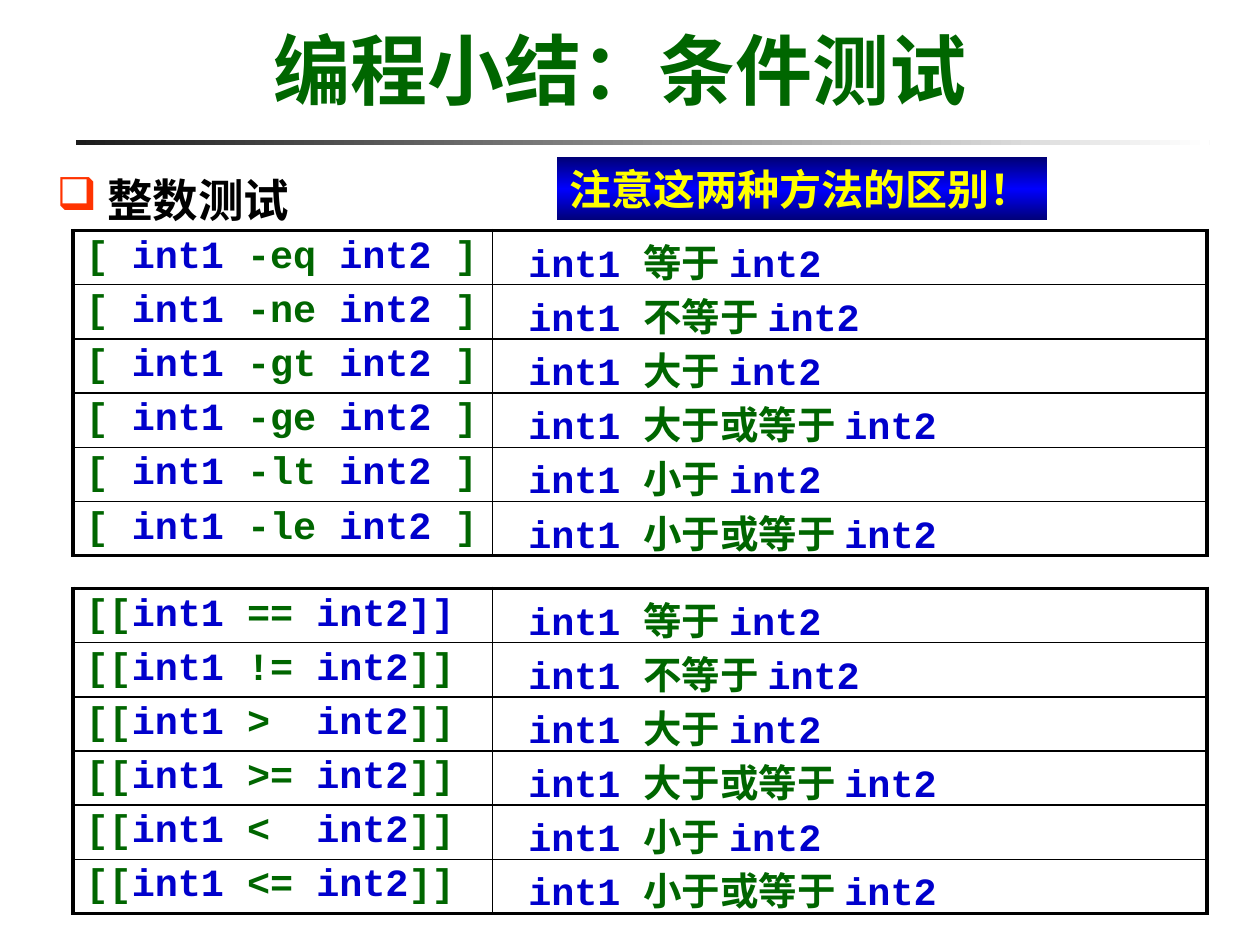
from lxml import etree
from pptx import Presentation
from pptx.dml.color import RGBColor
from pptx.enum.shapes import MSO_SHAPE
from pptx.enum.text import MSO_ANCHOR, MSO_AUTO_SIZE, PP_ALIGN
from pptx.oxml.ns import qn
from pptx.util import Inches, Pt

RECT = MSO_SHAPE.RECTANGLE
MIDDLE, BOTTOM = MSO_ANCHOR.MIDDLE, MSO_ANCHOR.BOTTOM
NO_FIT = MSO_AUTO_SIZE.NONE
LEFT, CENTER = PP_ALIGN.LEFT, PP_ALIGN.CENTER

GREEN = RGBColor(0x00, 0x66, 0x00)
BLUE = RGBColor(0x00, 0x00, 0xCC)
YELLOW = RGBColor(0xFF, 0xFF, 0x00)
ORANGE = RGBColor(0xFF, 0x33, 0x00)
BLACK = RGBColor(0x00, 0x00, 0x00)
WHITE = RGBColor(0xFF, 0xFF, 0xFF)
CHARCOAL = RGBColor(0x1C, 0x1C, 0x1C)
NAVY = RGBColor(0x00, 0x00, 0x76)
BRIGHT_BLUE = RGBColor(0x00, 0x00, 0xFF)

MONO, SERIF, CJK = "Courier New", "Times New Roman", "Noto Sans CJK SC"
THIN, THICK = Pt(1), Pt(2.25)

MEANINGS = ["等于", "不等于", "大于", "大于或等于", "小于", "小于或等于"]
FLAGS = ["-eq", "-ne", "-gt", "-ge", "-lt", "-le"]
SYMBOLS = ["==", "!=", ">", ">=", "<", "<="]


def add_color(parent, color):
    fill = etree.SubElement(parent, qn("a:solidFill"))
    etree.SubElement(fill, qn("a:srgbClr"), val=str(color))


class SlideBuilder:
    def __init__(self, slide):
        self.s = slide

    def run(self, p, text, size, color, font=MONO):
        r = p.add_run()
        r.text = text
        r.font.size = Pt(size)
        r.font.name = font
        r.font.bold = True
        r.font.color.rgb = color
        latin = r.font._element.find(qn("a:latin"))
        latin.addnext(latin.makeelement(qn("a:ea"), {"typeface": CJK}))

    def title(self, box, parts):
        sp = self.s.shapes.title
        sp.left, sp.top, sp.width, sp.height = map(Inches, box)
        tf = sp.text_frame
        tf.auto_size = NO_FIT
        tf.vertical_anchor = BOTTOM
        p = tf.paragraphs[0]
        p.alignment = CENTER
        for text, font in parts:
            self.run(p, text, 44, GREEN, font)

    def gradient_bar(self, box, stops, angle):
        sp = self.s.shapes.add_shape(RECT, *map(Inches, box))
        sp.shadow.inherit = False
        sp.line.fill.background()
        sp.fill.gradient()
        sp.fill.gradient_angle = angle
        stop_list = next(sp._element.iter(qn("a:gsLst")))
        stop_list.clear()
        for position, color in stops:
            stop = etree.SubElement(stop_list, qn("a:gs"), pos=str(position * 1000))
            etree.SubElement(stop, qn("a:srgbClr"), val=str(color))
        return sp

    def callout(self, box, text):
        stops = [(0, NAVY), (50, BRIGHT_BLUE), (100, NAVY)]
        tf = self.gradient_bar(box, stops, 90).text_frame
        tf.word_wrap = False
        tf.vertical_anchor = MIDDLE
        p = tf.paragraphs[0]
        p.alignment = LEFT
        self.run(p, text, 24, YELLOW)

    def bullet(self, box, text):
        tf = self.s.shapes.add_textbox(*map(Inches, box)).text_frame
        tf.word_wrap = True
        p = tf.paragraphs[0]
        p.line_spacing = 1.2
        self.run(p, text, 26, BLACK, SERIF)
        pPr = p._p.get_or_add_pPr()
        pPr.set("marL", str(Inches(0.3)))
        pPr.set("indent", str(-Inches(0.3)))
        color = etree.SubElement(pPr, qn("a:buClr"))
        etree.SubElement(color, qn("a:srgbClr"), val=str(ORANGE))
        etree.SubElement(pPr, qn("a:buChar"), char="❑")

    def borders(self, cell, widths):
        tcPr = cell._tc.get_or_add_tcPr()
        for side, width in zip("LRTB", widths):
            line = etree.SubElement(tcPr, qn(f"a:ln{side}"), w=str(width))
            add_color(line, BLACK)

    def table(self, left, top, col_widths, row_height, rows):
        height = row_height * len(rows)
        frame = self.s.shapes.add_table(
            len(rows), len(col_widths), Inches(left), Inches(top),
            Inches(sum(col_widths)), Inches(height))
        table = frame.table
        table.first_row = table.horz_banding = False
        for column, width in zip(table.columns, col_widths):
            column.width = Inches(width)
        last_row, last_col = len(rows) - 1, len(col_widths) - 1
        for i, row in enumerate(rows):
            table.rows[i].height = Inches(row_height)
            for j, parts in enumerate(row):
                cell = table.cell(i, j)
                cell.margin_bottom = 0
                edges = (j == 0, j == last_col, i == 0, i == last_row)
                self.borders(cell, [THICK if edge else THIN for edge in edges])
                cell.fill.background()
                p = cell.text_frame.paragraphs[0]
                p.line_spacing = 0.9
                for text, color in parts:
                    self.run(p, text, 22, color)


def meaning_cell(meaning):
    return [(" int1 ", BLUE), (f"{meaning} ", GREEN), ("int2", BLUE)]


def flag_cell(flag):
    return [("[ ", GREEN), ("int1 ", BLUE), (f"{flag} ", GREEN),
            ("int2 ", BLUE), ("]", GREEN)]


def symbol_cell(symbol):
    closing = BLUE if symbol == "==" else GREEN
    return [("[[", GREEN), ("int1 ", BLUE), (f"{symbol:<2} ", GREEN),
            ("int2", BLUE), ("]]", closing)]


def main():
    prs = Presentation()
    prs.slide_width, prs.slide_height = Inches(10), Inches(7.5)
    builder = SlideBuilder(prs.slides.add_slide(prs.slide_layouts[5]))

    builder.gradient_bar((0.6, 1.11, 9, 0.04), [(0, CHARCOAL), (100, WHITE)], 0)
    builder.title((1.42, 0.13, 7, 0.83), [("编程小结：", CJK), ("条件测试", MONO)])
    builder.bullet((0.35, 1.23, 3.51, 0.62), " 整数测试")
    builder.callout((4.42, 1.25, 3.89, 0.5), "注意这两种方法的区别！")

    for top, operators, test_cell in ((1.83, FLAGS, flag_cell),
                                      (4.67, SYMBOLS, symbol_cell)):
        rows = [(test_cell(operator), meaning_cell(meaning))
                for operator, meaning in zip(operators, MEANINGS)]
        builder.table(0.58, top, (3.33, 5.67), 0.43, rows)

    prs.save("out.pptx")


if __name__ == "__main__":
    main()
